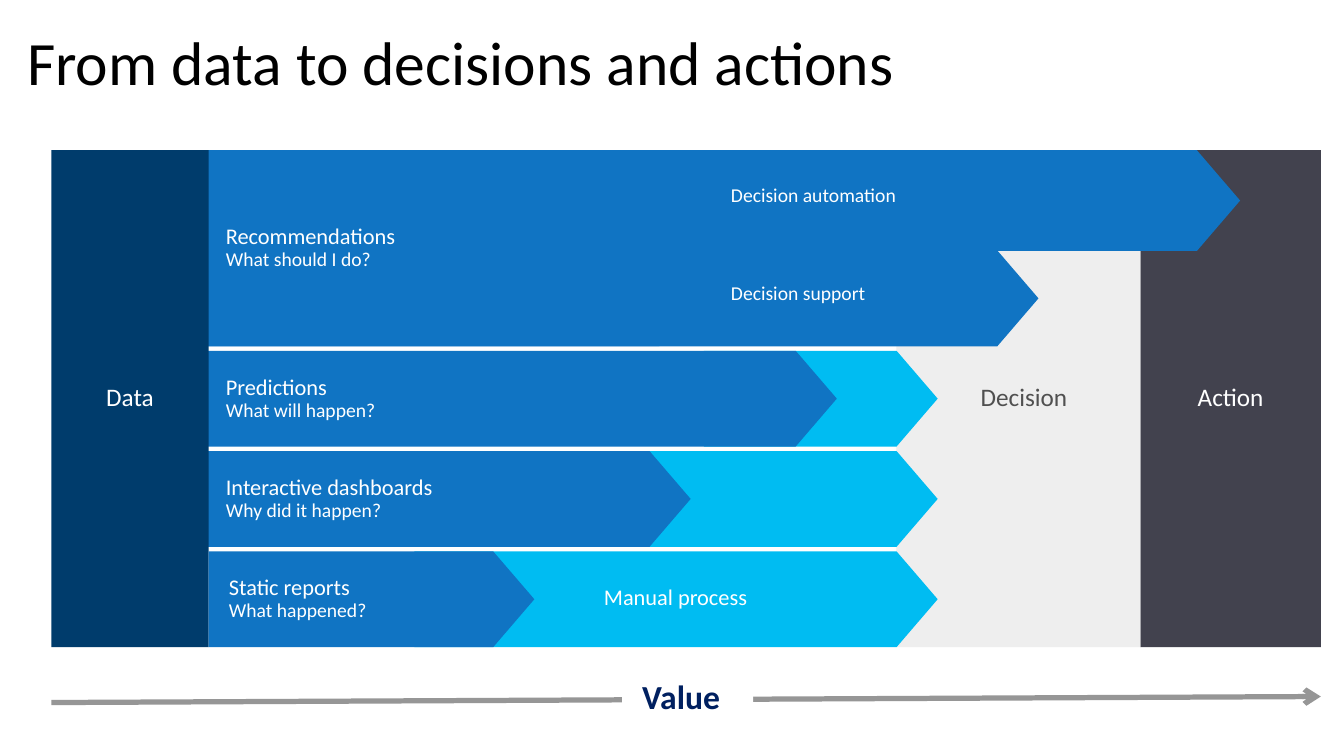
import dataclasses

import pptx
import pptx.dml.color
import pptx.enum.shapes
import pptx.enum.text
import pptx.oxml
import pptx.oxml.ns
import pptx.util

Inches = pptx.util.Inches
Pt = pptx.util.Pt
SHAPE = pptx.enum.shapes.MSO_SHAPE
ALIGN = pptx.enum.text.PP_ALIGN
ANCHOR = pptx.enum.text.MSO_ANCHOR


@dataclasses.dataclass(frozen=True)
class Theme:
    """Colours, type sizes and font of the slide."""
    font: str = "Calibri"
    black: str = "000000"
    white: str = "FFFFFF"
    navy: str = "003C6C"
    blue: str = "1074C3"
    cyan: str = "00BCF2"
    pale: str = "EEEEEE"
    dark: str = "42424E"
    grey_text: str = "505050"
    value: str = "002060"
    arrow: str = "969696"
    title: int = 44
    axis: int = 24
    stage: int = 18
    head: int = 16
    sub: int = 14


T = Theme()
PAD = (0.2, 0.16, 0.2, 0.16)
ROW_H = 0.95
POINT = 0.429


def rgb(value):
    """Return the colour object for a hex string."""
    return pptx.dml.color.RGBColor.from_string(value)


def set_text(shape, lines, color, align=ALIGN.LEFT, anchor=ANCHOR.MIDDLE,
             pad=PAD, wrap=True, bold=False):
    """Write (text, size) lines into a shape."""
    tf = shape.text_frame
    frame = dict(zip(("margin_left", "margin_top", "margin_right", "margin_bottom"),
                     map(Inches, pad)))
    frame.update(word_wrap=wrap, vertical_anchor=anchor)
    for name, value in frame.items():
        setattr(tf, name, value)
    for i, (text, size) in enumerate(lines):
        p = tf.add_paragraph() if i else tf.paragraphs[0]
        p.alignment, p.line_spacing = align, 0.9
        r = p.add_run()
        r.text = text
        for name, value in dict(name=T.font, size=Pt(size), bold=bold).items():
            setattr(r.font, name, value)
        r.font.color.rgb = rgb(color)


def add_block(s, kind, box, fill):
    """Add a filled shape without outline or shadow."""
    sp = s.shapes.add_shape(kind, *map(Inches, box))
    sp.shadow.inherit = False
    sp.fill.solid()
    sp.fill.fore_color.rgb = rgb(fill)
    sp.line.fill.background()
    if kind == SHAPE.PENTAGON:
        sp.adjustments[0] = POINT
    return sp


def add_label(s, box, text, size, color, **style):
    """Add a one-line text box."""
    set_text(s.shapes.add_textbox(*map(Inches, box)), [(text, size)], color, **style)


def add_stage(s, box, text, fill, color, pad=PAD):
    """Add a full-height stage column."""
    sp = add_block(s, SHAPE.RECTANGLE, box, fill)
    set_text(sp, [(text, T.stage)], color, align=ALIGN.CENTER, pad=pad)


def add_row(s, box, blue_w, cyan_x, head, sub):
    """Add an analytics arrow in front of its manual-process arrow."""
    x, y, w, h = box
    add_block(s, SHAPE.PENTAGON, (x + cyan_x, y, w - cyan_x, h), T.cyan)
    sp = add_block(s, SHAPE.PENTAGON, (x, y, blue_w, h), T.blue)
    set_text(sp, [(head, T.head), (sub, T.sub)], T.white)


def add_recommendations(s, box):
    """Add the recommendations block with its two decision arrows."""
    x, y, w, h = box
    add_block(s, SHAPE.PENTAGON, (x, y + h - ROW_H, w - 2, ROW_H), T.blue)
    add_block(s, SHAPE.PENTAGON, (x, y, w, 1), T.blue)
    sp = add_block(s, SHAPE.RECTANGLE, (x, y, 4.5, h), T.blue)
    set_text(sp, [("Recommendations", T.head), ("What should I do?", T.sub)], T.white)
    for dy, text in ((0.25, "Decision automation"), (1.22, "Decision support")):
        add_label(s, (x + 5.01, y + dy, 2.2, 0.54), text, T.sub, T.white,
                  anchor=ANCHOR.TOP, wrap=False)


def add_flow(s, box):
    """Add the stage columns and the analytics rows between them."""
    x, y, w, h = box
    pitch = (h - ROW_H) / 4
    row_x = x + 1.53
    row_w = 7.26
    add_stage(s, (x + w - 1.79, y, 1.79, h), "Action", T.dark, T.white)
    add_stage(s, (x + 8.38, y, 2.42, h), "Decision", T.pale, T.grey_text,
              pad=(0.31, 0.16, 0.2, 0.16))
    add_row(s, (row_x, y + 3 * pitch, row_w, ROW_H), 4.81, 3.15,
            "Interactive dashboards", "Why did it happen?")
    add_row(s, (row_x, y + 2 * pitch, row_w, ROW_H), 6.26, 4.94,
            "Predictions", "What will happen?")
    add_recommendations(s, (row_x, y, 10.26, pitch + ROW_H))
    add_stage(s, (x, y, 1.56, h), "Data", T.navy, T.white)
    add_row(s, (row_x + 0.03, y + 4 * pitch, row_w - 0.03, ROW_H), 3.23, 2.04,
            "Static reports", "What happened?")
    add_label(s, (x + 5.28, y + 4.21, 3.68, 0.57), "Manual process", T.head, T.white,
              anchor=ANCHOR.TOP)


def add_value_axis(s, box):
    """Add the value arrow with its label on top."""
    x, y, w, h = box
    line = s.shapes.add_connector(pptx.enum.shapes.MSO_CONNECTOR.STRAIGHT, Inches(x),
                                  Inches(y + 0.38), Inches(x + w), Inches(y + 0.32))
    line.line.color.rgb = rgb(T.arrow)
    line.line.width = Pt(3.75)
    ln = line.line._get_or_add_ln()
    ln.append(pptx.oxml.parse_xml(
        f'<a:tailEnd {pptx.oxml.ns.nsdecls("a")} type="arrow"/>'))
    line._element.spPr.append(pptx.oxml.parse_xml(
        f'<a:effectLst {pptx.oxml.ns.nsdecls("a")}/>'))
    sp = add_block(s, SHAPE.RECTANGLE, (x + 5.66, y, 1.3, h), T.white)
    set_text(sp, [("Value", T.axis)], T.value, anchor=ANCHOR.TOP, bold=True)


def main():
    """Build and save the slide."""
    prs = pptx.Presentation()
    prs.slide_width, prs.slide_height = Inches(13.33), Inches(7.5)
    s = prs.slides.add_slide(prs.slide_layouts[6])
    add_label(s, (0.17, 0.19, 13, 0.93), "From data to decisions and actions",
              T.title, T.black, pad=(0.1, 0.05, 0.1, 0.05))
    add_flow(s, (0.51, 1.49, 12.59, 4.93))
    add_value_axis(s, (0.51, 6.59, 12.59, 0.69))
    prs.save("out.pptx")


if __name__ == "__main__":
    main()
